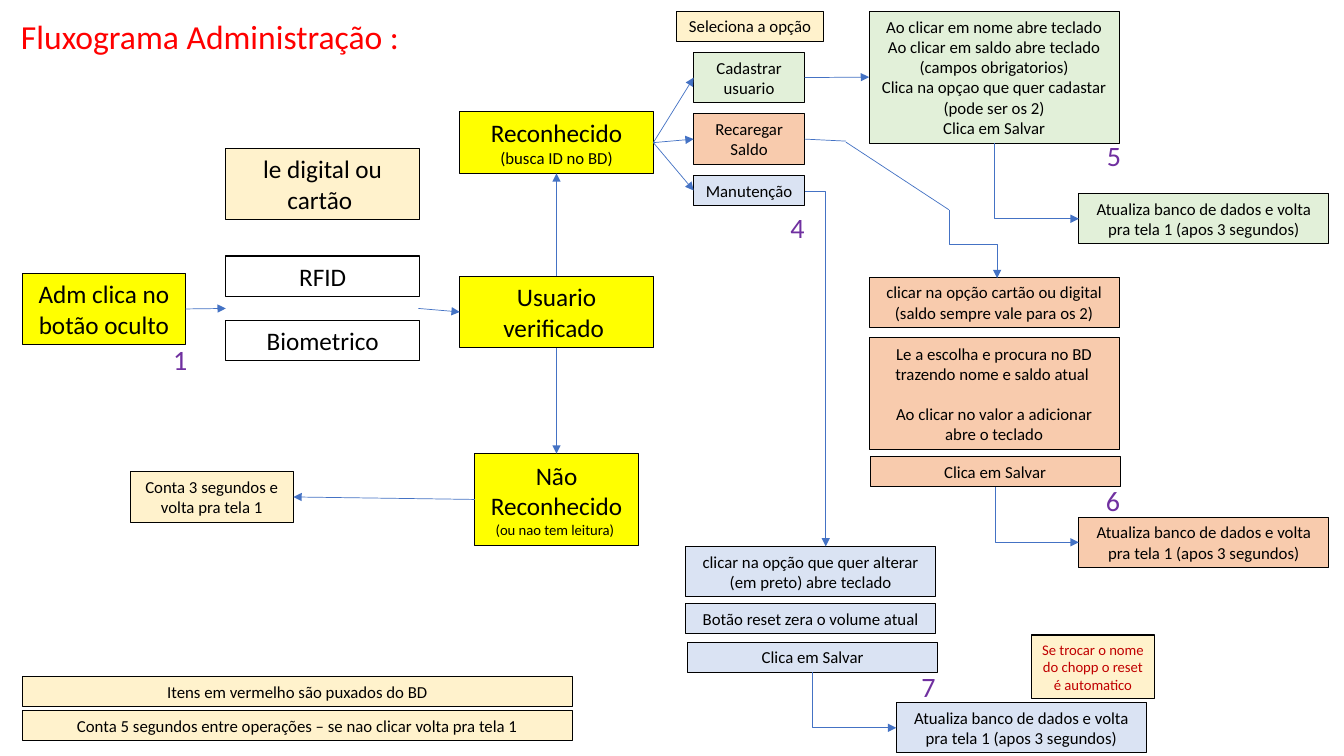
from dataclasses import dataclass

from lxml.etree import SubElement
from pptx import Presentation
from pptx.dml.color import RGBColor
from pptx.enum.shapes import MSO_CONNECTOR, MSO_SHAPE
from pptx.enum.text import MSO_ANCHOR, MSO_AUTO_SIZE, PP_ALIGN
from pptx.oxml.ns import qn
from pptx.util import Inches, Pt


@dataclass(frozen=True)
class Theme:
    font: str = "Calibri"
    black: str = "000000"
    title_red: str = "FF0000"
    note_red: str = "C00000"
    purple: str = "7030A0"
    arrow: str = "4472C4"
    yellow: str = "FFFF00"
    cream: str = "FFF2CC"
    green: str = "E2F0D9"
    orange: str = "F8CBAD"
    blue: str = "DAE3F3"
    title: float = 24
    badge: float = 20
    large: float = 18
    body: float = 12
    small: float = 10.5


T = Theme()
TOP, LEFT, BOTTOM, RIGHT = range(4)
WIDE = 2.48
UPDATE = "Atualiza banco de dados e volta pra tela 1 (apos 3 segundos)"
SAVE = "Clica em Salvar"


def style_runs(p, size, color):
    for r in p.runs:
        r.font.name = T.font
        r.font.size = Pt(size)
        r.font.color.rgb = RGBColor.from_string(color)


def box(s, left, top, width, height, text, fill=None, size=T.body,
        second_size=None, color=T.black, gap=0):
    sp = s.shapes.add_shape(MSO_SHAPE.RECTANGLE, Inches(left), Inches(top),
                            Inches(width), Inches(height))
    sp.shadow.inherit = False
    if fill:
        sp.fill.solid()
        sp.fill.fore_color.rgb = RGBColor.from_string(fill)
    else:
        sp.fill.background()
    sp.line.color.rgb = RGBColor.from_string(T.black)
    sp.line.width = Pt(0.75)
    tf = sp.text_frame
    tf.text = text
    tf.word_wrap = True
    tf.auto_size = MSO_AUTO_SIZE.SHAPE_TO_FIT_TEXT
    tf.vertical_anchor = MSO_ANCHOR.MIDDLE
    for i, p in enumerate(tf.paragraphs):
        p.alignment = PP_ALIGN.CENTER
        if i and gap:
            p.space_before = Pt(gap)
        style_runs(p, second_size if i and second_size else size, color)
    return sp


def label(s, left, top, width, height, text, size, color):
    tf = s.shapes.add_textbox(Inches(left), Inches(top), Inches(width),
                              Inches(height)).text_frame
    tf.text = text
    tf.word_wrap = False
    tf.auto_size = MSO_AUTO_SIZE.SHAPE_TO_FIT_TEXT
    style_runs(tf.paragraphs[0], size, color)


def badge(s, left, top, number):
    label(s, left, top, 0.34, 0.44, number, T.badge, T.purple)


def connector(s, kind, start, end, head=True):
    c = s.shapes.add_connector(kind, *(Inches(v) for v in (*start, *end)))
    c.line.color.rgb = RGBColor.from_string(T.arrow)
    c.line.width = Pt(0.5)
    if head:
        SubElement(c.line._get_or_add_ln(), qn("a:tailEnd"), type="triangle")
    SubElement(c._element.spPr, qn("a:effectLst"))
    return c


def line(s, start=(0, 0), end=(0, 0), begin=None, finish=None, head=True):
    c = connector(s, MSO_CONNECTOR.STRAIGHT, start, end, head)
    if begin:
        c.begin_connect(*begin)
    if finish:
        c.end_connect(*finish)


def elbow(s, start, end, down_first=True, corners=1):
    c = connector(s, MSO_CONNECTOR.ELBOW, start, end)
    spPr = c._element.spPr
    spPr.find(qn("a:prstGeom")).set("prst", f"bentConnector{corners + 1}")
    if down_first:
        (x1, y1), (x2, y2) = start, end
        width, height = y2 - y1, x2 - x1
        c.left = Inches((x1 + x2 - width) / 2)
        c.top = Inches((y1 + y2 - height) / 2)
        c.width, c.height = Inches(width), Inches(height)
        xfrm = spPr.find(qn("a:xfrm"))
        xfrm.set("rot", "16200000")
        xfrm.set("flipH", "1")


def update_step(s, left, top, fill, start, number, badge_at):
    box(s, left, top, WIDE, 0.5, UPDATE, fill)
    elbow(s, start, (left, top + 0.25))
    badge(s, *badge_at, number)


def draw_identification(s):
    label(s, 0.11, 0.11, 3.98, 0.5, "Fluxograma Administração :", T.title, T.title_red)
    box(s, 2.24, 1.47, 1.92, 0.71, "le digital ou cartão ", T.cream, T.large)
    for top, reader in ((2.54, "RFID"), (3.18, "Biometrico")):
        box(s, 2.24, top, 1.92, 0.4, reader, size=T.large)
    admin = box(s, 0.22, 2.71, 1.62, 0.71, "Adm clica no botão oculto", T.yellow, T.large)
    badge(s, 1.62, 3.35, "1")
    verified = box(s, 4.56, 2.74, 1.92, 0.71, "Usuario verificado ", T.yellow, T.large)
    known = box(s, 4.56, 1.11, 1.92, 0.61, "Reconhecido\n(busca ID no BD)",
                T.yellow, T.large, T.body)
    unknown = box(s, 4.71, 4.5, 1.62, 0.91, "Não Reconhecido\n(ou nao tem leitura) ",
                  T.yellow, T.large, T.small)
    wait = box(s, 1.29, 4.68, 1.62, 0.5, "Conta 3 segundos e volta pra tela 1", T.cream)
    line(s, end=(2.24, 3.06), begin=(admin, RIGHT))
    line(s, start=(4.15, 3.06), finish=(verified, LEFT))
    line(s, begin=(verified, TOP), finish=(known, BOTTOM))
    line(s, begin=(verified, BOTTOM), finish=(unknown, TOP))
    line(s, begin=(unknown, LEFT), finish=(wait, RIGHT))
    for top, note in (
        (6.71, "Itens em vermelho são puxados do BD"),
        (7.05, "Conta 5 segundos entre operações – se nao clicar volta pra tela 1"),
    ):
        box(s, 0.22, top, 5.46, 0.3, note, T.cream)
    return known


def draw_options(s, known):
    box(s, 6.71, 0.11, 1.46, 0.3, "Seleciona a opção", T.cream)
    options = [
        box(s, 6.88, top, 1.1, height, text, fill)
        for top, height, text, fill in (
            (0.52, 0.5, "Cadastrar usuario", T.green),
            (1.13, 0.5, "Recaregar Saldo", T.orange),
            (1.74, 0.3, "Manutenção", T.blue),
        )
    ]
    for option in options:
        line(s, begin=(known, RIGHT), finish=(option, LEFT))
    badge(s, 7.74, 2.04, "4")
    return options


def draw_register(s, register):
    form = box(s, 8.62, 0.11, WIDE, 1.31,
               "Ao clicar em nome abre teclado\nAo clicar em saldo abre teclado\n"
               "(campos obrigatorios)\nClica na opçao que quer cadastar (pode ser os 2)\n"
               + SAVE, T.green)
    line(s, begin=(register, RIGHT), finish=(form, LEFT))
    update_step(s, 10.7, 1.92, T.green, (9.86, 1.42), "5", (10.88, 1.33))


def draw_recharge(s, recharge):
    box(s, 8.62, 2.75, WIDE, 0.5,
        "clicar na opção cartão ou digital (saldo sempre vale para os 2)", T.orange)
    box(s, 8.62, 3.35, WIDE, 1.11,
        "Le a escolha e procura no BD trazendo nome e saldo atual \n"
        "Ao clicar no valor a adicionar abre o teclado", T.orange, gap=14.4)
    box(s, 8.63, 4.53, WIDE, 0.3, SAVE, T.orange)
    line(s, end=(8.39, 1.4), begin=(recharge, RIGHT), head=False)
    line(s, (8.39, 1.41), (9.41, 2.08), head=False)
    elbow(s, (9.42, 2.08), (9.89, 2.76), corners=2)
    update_step(s, 10.7, 5.13, T.orange, (9.87, 4.83), "6", (10.87, 4.75))


def draw_maintenance(s):
    box(s, 6.8, 5.42, WIDE, 0.5,
        "clicar na opção que quer alterar (em preto) abre teclado", T.blue)
    box(s, 6.8, 5.99, WIDE, 0.3, "Botão reset zera o volume atual", T.blue)
    box(s, 6.82, 6.37, WIDE, 0.3, SAVE, T.blue)
    box(s, 10.23, 6.3, 1.22, 0.63, "Se trocar o nome do chopp o reset é automatico",
        T.cream, T.small, color=T.note_red)
    elbow(s, (7.98, 1.9), (8.19, 5.42), down_first=False)
    update_step(s, 8.89, 6.97, T.blue, (8.06, 6.67), "7", (9.04, 6.59))


def main():
    prs = Presentation()
    prs.slide_width, prs.slide_height = Inches(13.33), Inches(7.5)
    s = prs.slides.add_slide(prs.slide_layouts[6])
    known = draw_identification(s)
    register, recharge, _ = draw_options(s, known)
    draw_register(s, register)
    draw_recharge(s, recharge)
    draw_maintenance(s)
    prs.save("out.pptx")


if __name__ == "__main__":
    main()
